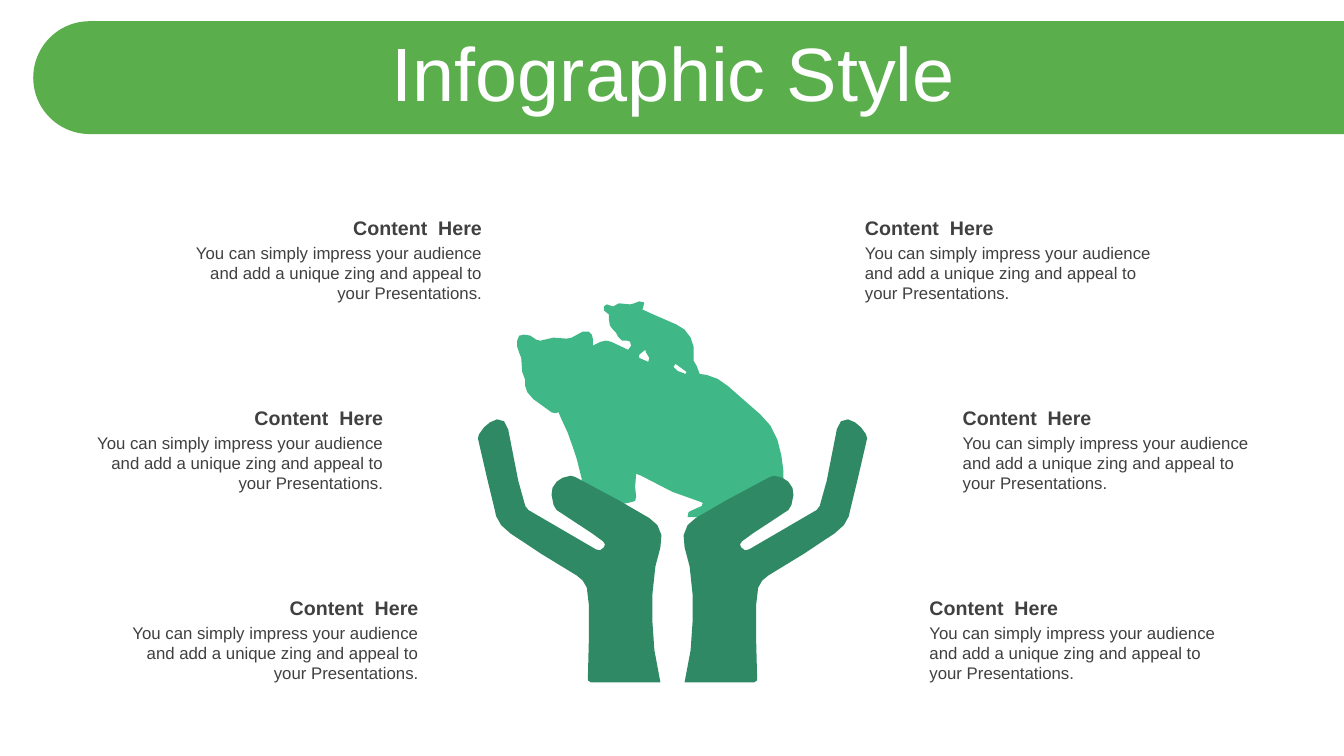
from pptx import Presentation
from pptx.dml.color import RGBColor
from pptx.enum.shapes import MSO_SHAPE
from pptx.enum.text import MSO_ANCHOR, MSO_AUTO_SIZE, PP_ALIGN
from pptx.util import Inches, Pt

BANNER = MSO_SHAPE.ROUND_2_SAME_RECTANGLE
MIDDLE = MSO_ANCHOR.MIDDLE
FIT_TEXT = MSO_AUTO_SIZE.SHAPE_TO_FIT_TEXT
LEFT, CENTER, RIGHT = PP_ALIGN.LEFT, PP_ALIGN.CENTER, PP_ALIGN.RIGHT

GREEN = RGBColor(0x5A, 0xAE, 0x4C)
MINT = RGBColor(0x40, 0xB7, 0x86)
DARK_GREEN = RGBColor(0x30, 0x89, 0x65)
GREY = RGBColor(0x40, 0x40, 0x40)
WHITE = RGBColor(0xFF, 0xFF, 0xFF)

TITLE = "Infographic Style"
HEADING = "Content  Here"
BODY = ("You can simply impress your audience and add a unique zing "
        "and appeal to your Presentations.")

FIRST_TOP, ROW_STEP, BODY_OFFSET = 2.09, 1.885, 0.265
COLUMNS = [
    (RIGHT, 3.07, [1.81, 0.83, 1.18]),
    (LEFT, 3.05, [8.48, 9.45, 9.12]),
]

UNIT = Inches(0.01)
MIRROR_SUM = 1334

BEARS = [
    (682, 513), (683, 508), (687, 506), (696, 502), (697, 499), (695, 498),
    (667, 488), (636, 472), (631, 470), (630, 483), (631, 493), (630, 497),
    (627, 498), (618, 500), (618, 506), (615, 510), (610, 511), (593, 511),
    (576, 509), (570, 506), (573, 503), (577, 500), (578, 495), (577, 475),
    (572, 455), (568, 443), (563, 429), (557, 416), (554, 409), (551, 410),
    (547, 409), (529, 396), (523, 389), (521, 383), (521, 377), (518, 369),
    (517, 355), (515, 350), (513, 344), (513, 338), (515, 333), (520, 332),
    (526, 333), (532, 337), (536, 338), (549, 335), (562, 336), (567, 335),
    (578, 329), (584, 329), (587, 332), (588, 336), (588, 343), (596, 339),
    (601, 338), (606, 339), (623, 347), (626, 343), (625, 339), (622, 338),
    (617, 338), (613, 334), (611, 330), (608, 327), (605, 323), (604, 317),
    (604, 312), (599, 308), (599, 304), (602, 302), (608, 304), (614, 301),
    (625, 302), (629, 301), (634, 299), (639, 300), (638, 305), (637, 307),
    (648, 312), (671, 322), (679, 327), (685, 335), (688, 344), (688, 353),
    (688, 358), (691, 363), (694, 371), (701, 372), (712, 376), (722, 383),
    (754, 411), (764, 422), (771, 436), (775, 452), (777, 467), (777, 481),
    (774, 491), (768, 500), (763, 505), (757, 506), (756, 511), (751, 513),
]
GAP_BY_PAW = [(643, 359), (644, 355), (641, 350), (640, 347), (634, 352),
              (634, 355), (636, 356)]
GAP_BY_LEG = [(670, 361), (668, 364), (672, 368), (680, 371), (681, 369)]

RIGHT_HAND = [
    (687, 616), (685, 645), (679, 677), (748, 677), (751, 675), (750, 635),
    (750, 600), (752, 583), (756, 576), (762, 571), (798, 549), (828, 529),
    (837, 521), (842, 512), (843, 507), (851, 474), (860, 435), (859, 431),
    (854, 424), (848, 419), (841, 416), (834, 418), (830, 426), (820, 477),
    (813, 502), (810, 506), (743, 545), (739, 546), (735, 543), (734, 540),
    (736, 537), (747, 529), (782, 506), (785, 501), (787, 491), (786, 484),
    (782, 478), (776, 474), (768, 472), (764, 473), (721, 496), (690, 514),
    (682, 521), (678, 531), (679, 543), (684, 562), (687, 590),
]
LEFT_HAND = [(MIRROR_SUM - x, y) for x, y in RIGHT_HAND]


def draw_outline(shapes, contours, color):
    builder = shapes.build_freeform(*contours[0][0], scale=UNIT)
    builder.add_line_segments(contours[0][1:], close=True)
    for contour in contours[1:]:
        builder.move_to(*contour[0])
        builder.add_line_segments(contour[1:], close=True)
    outline = builder.convert_to_shape()
    outline.shadow.inherit = False
    outline.fill.solid()
    outline.fill.fore_color.rgb = color
    outline.line.fill.background()


def add_text(shapes, box, text, size, color, align, bold=False):
    label = shapes.add_textbox(*map(Inches, box))
    frame = label.text_frame
    frame.word_wrap = True
    paragraph = frame.paragraphs[0]
    paragraph.alignment = align
    run = paragraph.add_run()
    run.text = text
    run.font.name = "Arial"
    run.font.size = Pt(size)
    run.font.bold = bold
    run.font.color.rgb = color
    return frame


def main():
    deck = Presentation()
    deck.slide_width, deck.slide_height = Inches(13.33), Inches(7.5)
    shapes = deck.slides.add_slide(deck.slide_layouts[6]).shapes

    banner = shapes.add_shape(BANNER, Inches(6.27), Inches(-5.73),
                              Inches(1.12), Inches(13))
    banner.rotation = 270
    banner.adjustments[0], banner.adjustments[1] = 0.5, 0
    banner.shadow.inherit = False
    banner.fill.solid()
    banner.fill.fore_color.rgb = GREEN
    banner.line.fill.background()

    draw_outline(shapes, [BEARS, GAP_BY_PAW, GAP_BY_LEG], MINT)

    title = add_text(shapes, (0.35, 0.37, 12.66, 0.79), TITLE, 54, WHITE, CENTER)
    title.vertical_anchor = MIDDLE
    title.paragraphs[0].line_spacing = 0.9

    for hand in (RIGHT_HAND, LEFT_HAND):
        draw_outline(shapes, [hand], DARK_GREEN)

    for align, width, lefts in COLUMNS:
        for row, left in enumerate(lefts):
            top = FIRST_TOP + row * ROW_STEP
            body = add_text(shapes, (left, top + BODY_OFFSET, width, 0.71),
                            BODY, 12, GREY, align)
            heading = add_text(shapes, (left, top, width, 0.34),
                               HEADING, 14, GREY, align, bold=True)
            body.auto_size = heading.auto_size = FIT_TEXT

    deck.save("out.pptx")


if __name__ == "__main__":
    main()
